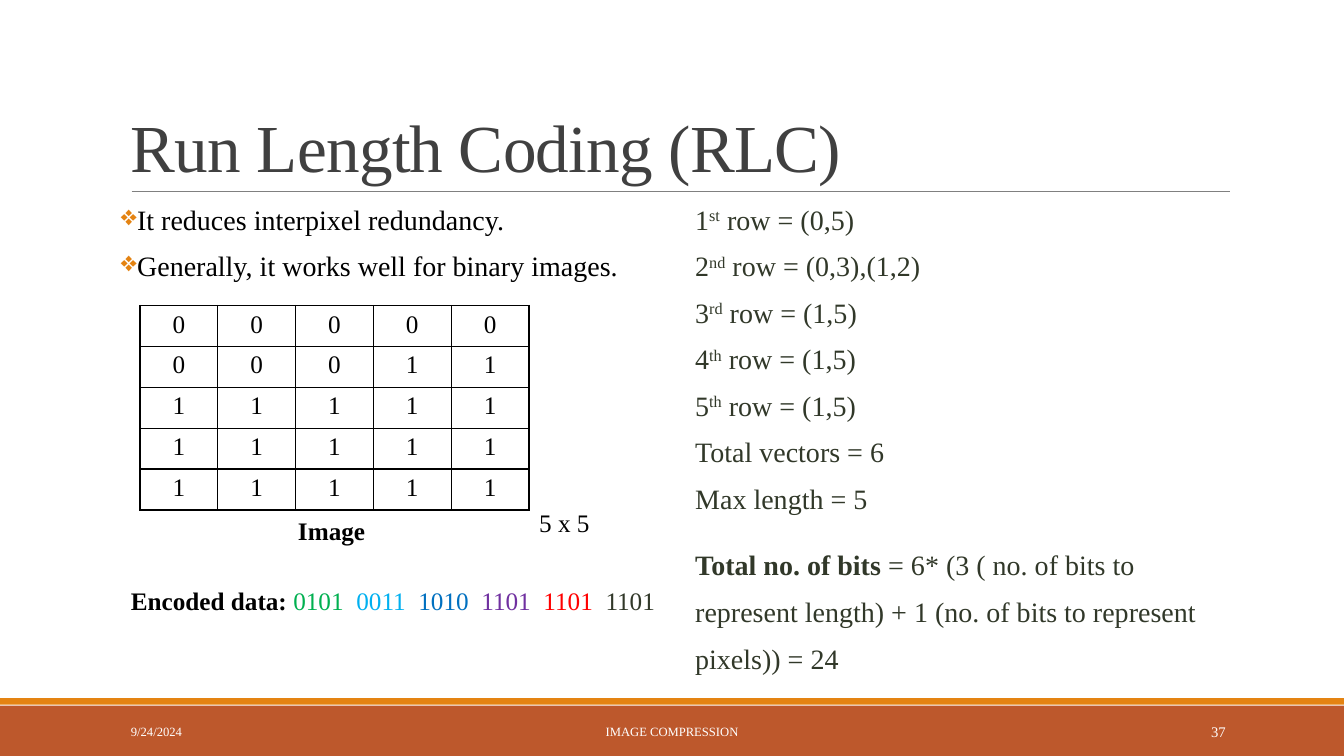
from dataclasses import dataclass

from lxml import etree
from pptx import Presentation
from pptx.dml.color import RGBColor
from pptx.enum.shapes import MSO_CONNECTOR, MSO_SHAPE
from pptx.enum.text import MSO_ANCHOR, PP_ALIGN
from pptx.oxml.ns import qn
from pptx.util import Cm, Pt

LEFT, CENTER, RIGHT = PP_ALIGN.LEFT, PP_ALIGN.CENTER, PP_ALIGN.RIGHT
TOP, MIDDLE, BOTTOM = MSO_ANCHOR.TOP, MSO_ANCHOR.MIDDLE, MSO_ANCHOR.BOTTOM
RECTANGLE = MSO_SHAPE.RECTANGLE
STRAIGHT = MSO_CONNECTOR.STRAIGHT


@dataclass(frozen=True)
class Theme:
    font: str = "Times New Roman"
    black: str = "000000"
    white: str = "FFFFFF"
    title: str = "404040"
    text: str = "313829"
    rule: str = "808080"
    orange: str = "E48312"
    rust: str = "BD582C"
    codes: tuple = ("00B050", "00B0F0", "0070C0", "7030A0", "FF0000", "313829")
    title_size: float = 48
    body_size: float = 20
    label_size: float = 18
    footer_size: float = 9
    number_size: float = 10.5


THEME = Theme()


def add_text(left, top, width, height, anchor=TOP, side=0.25):
    """Add an empty text box, with side as its left and right inset in cm."""
    box = slide.shapes.add_textbox(Cm(left), Cm(top), Cm(width), Cm(height))
    frame = box.text_frame
    frame.word_wrap = True
    frame.vertical_anchor = anchor
    frame.margin_left = frame.margin_right = Cm(side)
    return frame


def add_run(paragraph, text, size, color, bold=False):
    run = paragraph.add_run()
    run.text = text
    run.font.name = THEME.font
    run.font.size = Pt(size)
    run.font.bold = bold
    run.font.color.rgb = RGBColor.from_string(color)
    return run


presentation = Presentation()
presentation.slide_width = Cm(33.87)
presentation.slide_height = Cm(19.05)
slide = presentation.slides.add_slide(presentation.slide_layouts[6])

# Footer bands and title rule
for top, height, color in ((17.78, 1.27, THEME.rust), (17.59, 0.17, THEME.orange)):
    band = slide.shapes.add_shape(RECTANGLE, 0, Cm(top), Cm(33.87), Cm(height))
    band.shadow.inherit = False
    band.fill.solid()
    band.fill.fore_color.rgb = RGBColor.from_string(color)
    band.line.fill.background()

rule = slide.shapes.add_connector(STRAIGHT, Cm(3.32), Cm(4.82), Cm(31), Cm(4.82))
rule.line.color.rgb = RGBColor.from_string(THEME.rule)
rule.line.width = Pt(0.5)
etree.SubElement(rule.element.spPr, qn("a:effectLst"))

# Title
paragraph = add_text(3.05, 0.79, 27.94, 4.03, BOTTOM).paragraphs[0]
paragraph.line_spacing = 0.85
run = add_run(paragraph, "Run Length Coding (RLC)", THEME.title_size, THEME.title)
run.font._element.set("spc", "-50")

# Body columns: each paragraph is a list of (text, style) runs
POINTS = [
    [("It reduces interpixel redundancy.", "")],
    [("Generally, it works well for binary images.", "")],
]
ROW_CODES = [
    ("1", "st", "(0,5)"),
    ("2", "nd", "(0,3),(1,2)"),
    ("3", "rd", "(1,5)"),
    ("4", "th", "(1,5)"),
    ("5", "th", "(1,5)"),
]
RESULTS = [
    [(number, ""), (suffix, "superscript"), (f" row = {vectors}", "")]
    for number, suffix, vectors in ROW_CODES
]
RESULTS += [
    [("Total vectors = 6", "")],
    [("Max length = 5", "")],
    [
        ("Total no. of bits ", "bold"),
        ("= 6* (3 ( no. of bits to represent length) + 1 "
         "(no. of bits to represent pixels)) = 24", ""),
    ],
]
COLUMNS = (
    (3.05, 11.18, POINTS, THEME.black, True),
    (17.27, 12.83, RESULTS, THEME.text, False),
)
for left, height, paragraphs, color, bulleted in COLUMNS:
    frame = add_text(left, 5.13, 13.72, height, side=0)
    for index, runs in enumerate(paragraphs):
        paragraph = frame.add_paragraph() if index else frame.paragraphs[0]
        paragraph.line_spacing = 1.4 if runs[0][1] == "bold" else 0.8
        paragraph.space_before = Pt(12)
        paragraph.space_after = Pt(2)
        properties = paragraph._p.get_or_add_pPr()
        properties.set("marL", str(Cm(0.25)))
        if bulleted:
            properties.set("indent", str(Cm(-0.25)))
            bullet_color = etree.SubElement(properties, qn("a:buClr"))
            etree.SubElement(bullet_color, qn("a:srgbClr"), val=THEME.orange)
            etree.SubElement(properties, qn("a:buChar"), char="❖")
        for text, style in runs:
            run = add_run(paragraph, text, THEME.body_size, color, style == "bold")
            if style == "superscript":
                run.font._element.set("baseline", "30000")

# Binary image as a table
PIXELS = ("00000", "00011", "11111", "11111", "11111")
COLUMN_WIDTH, ROW_HEIGHT = 1.96, 1.03
table = slide.shapes.add_table(
    5, 5, Cm(3.53), Cm(7.7), Cm(5 * COLUMN_WIDTH), Cm(5 * ROW_HEIGHT)
).table
for column in table.columns:
    column.width = Cm(COLUMN_WIDTH)
for row, pixels in zip(table.rows, PIXELS):
    row.height = Cm(ROW_HEIGHT)
    for cell, pixel in zip(row.cells, pixels):
        paragraph = cell.text_frame.paragraphs[0]
        paragraph.alignment = CENTER
        add_run(paragraph, pixel, THEME.label_size, THEME.black)
        properties = cell._tc.get_or_add_tcPr()
        for edge in ("a:lnL", "a:lnR", "a:lnT", "a:lnB"):
            border = etree.SubElement(properties, qn(edge), w=str(Pt(1)))
            border_fill = etree.SubElement(border, qn("a:solidFill"))
            etree.SubElement(border_fill, qn("a:srgbClr"), val=THEME.black)
        cell.fill.solid()
        cell.fill.fore_color.rgb = RGBColor.from_string(THEME.white)

# Table labels and footer
LABELS = (
    ("5 x 5", 13.34, 12.65, 1.91, TOP, LEFT, THEME.label_size, THEME.black, False),
    ("Image", 7.26, 12.85, 2.31, TOP, LEFT, THEME.label_size, THEME.black, True),
    ("9/24/2024", 3.05, 17.93, 6.86, MIDDLE, LEFT, THEME.footer_size, THEME.white, False),
    ("IMAGE COMPRESSION", 10.24, 17.93, 13.39, MIDDLE, CENTER, THEME.footer_size,
     THEME.white, False),
    ("37", 27.51, 17.93, 3.63, MIDDLE, RIGHT, THEME.number_size, THEME.white, False),
)
for text, left, top, width, anchor, alignment, size, color, bold in LABELS:
    paragraph = add_text(left, top, width, 1.02, anchor).paragraphs[0]
    paragraph.alignment = alignment
    add_run(paragraph, text, size, color, bold)

# Encoded data, one colour for each code
CODES = ("0101  ", "0011  ", "1010  ", "1101  ", "1101  ", "1101")
paragraph = add_text(3.05, 14.63, 13.72, 1.02).paragraphs[0]
add_run(paragraph, "Encoded data: ", THEME.label_size, THEME.black, True)
for code, color in zip(CODES, THEME.codes):
    add_run(paragraph, code, THEME.label_size, color)

presentation.save("out.pptx")
